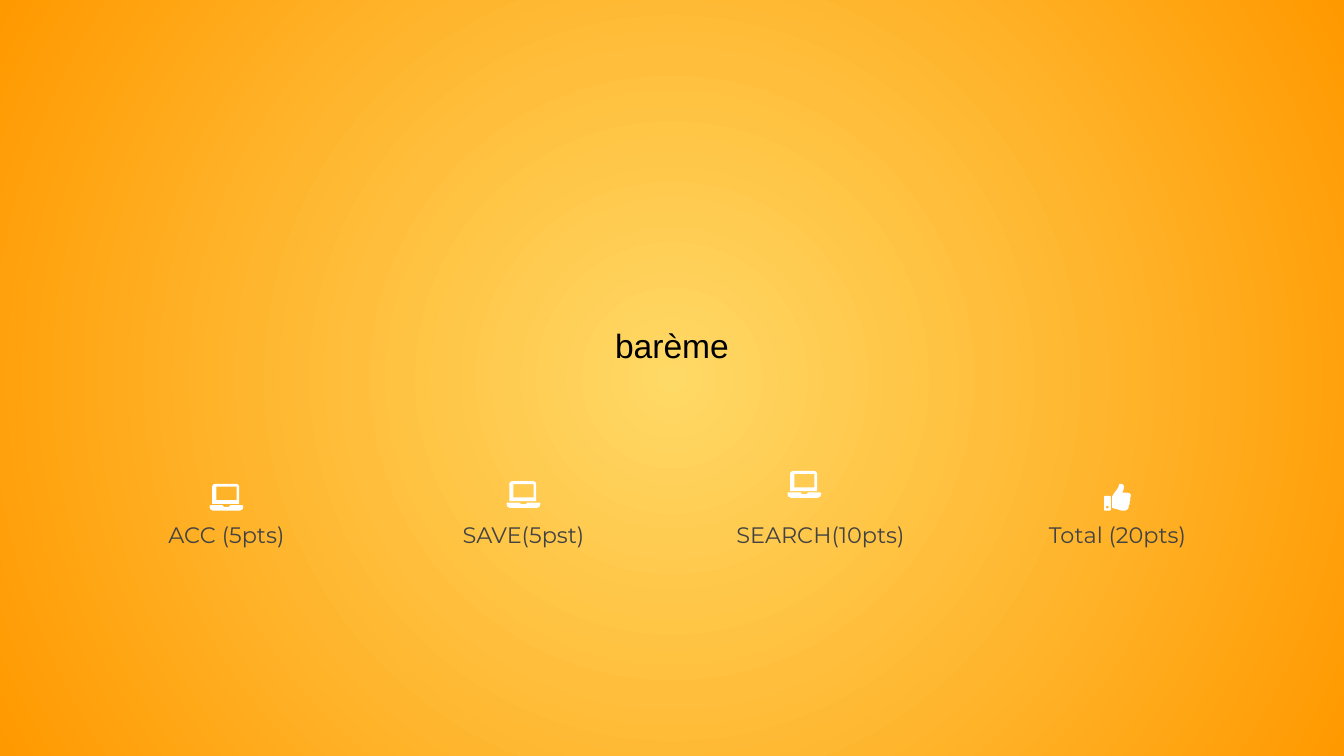
from lxml.etree import SubElement
from pptx import Presentation
from pptx.dml.color import RGBColor
from pptx.enum.text import PP_ALIGN
from pptx.oxml.ns import qn
from pptx.util import Pt

YELLOW = RGBColor(0xFF, 0xD9, 0x66)
ORANGE = RGBColor(0xFF, 0x99, 0x00)
BLACK = RGBColor(0, 0, 0)
GREY = RGBColor(0x43, 0x43, 0x43)
WHITE = RGBColor(0xFF, 0xFF, 0xFF)

ICON_UNIT = Pt(0.1)
LAPTOP = [
    [(29, 0), (18, 5), (14, 14), (14, 108), (158, 108), (158, 14), (154, 5), (144, 0)],
    [(144, 16), (144, 88), (36, 88), (36, 16)],
    [(4, 115), (0, 119), (0, 126), (4, 137), (18, 144), (162, 144), (176, 137),
     (180, 126), (180, 119), (176, 115), (110, 115), (106, 121), (101, 124),
     (79, 124), (74, 121), (70, 115)],
]
THUMB = [
    [(4, 65), (0, 69), (0, 140), (4, 144), (32, 144), (36, 140), (36, 69), (32, 65)],
    [(15, 118), (21, 118), (25, 122), (25, 128), (21, 132), (15, 132), (11, 128), (11, 122)],
    [(86, 0), (80, 4), (77, 18), (71, 28), (58, 45), (47, 62), (44, 68), (44, 128),
     (50, 132), (62, 134), (80, 140), (94, 144), (112, 144), (124, 139), (131, 130),
     (132, 118), (138, 108), (137, 98), (141, 86), (140, 75), (144, 66), (142, 56),
     (136, 50), (126, 48), (97, 48), (103, 36), (107, 22), (106, 10), (100, 2), (92, 0)],
]

LABEL_LEFT, LABEL_STEP, LABEL_WIDTH = 54.72, 159.12, 133.2
CRITERIA = [
    ("ACC (5pts)", LAPTOP, 18, 0, 259.2),
    ("SAVE(5pst)", LAPTOP, 18, 0, 257.76),
    ("SEARCH(10pts)", LAPTOP, 18, -8.64, 252.3),
    ("Total (20pts)", THUMB, 14.4, 0, 259.2),
]


class SlideBuilder:
    def __init__(self, page):
        self.page = page

    def background(self, centre, edge):
        fill = self.page.background.fill
        fill.gradient()
        for stop, color in zip(fill.gradient_stops, (centre, edge)):
            stop.color.rgb = color
        gradient = self.page.element.find(".//" + qn("a:gradFill"))
        gradient.remove(gradient.find(qn("a:lin")))
        circle = SubElement(gradient, qn("a:path"), path="circle")
        SubElement(circle, qn("a:fillToRect"), l="50000", t="50000", r="50000", b="50000")

    def text(self, words, left, top, width, height, font, size, color):
        box = self.page.shapes.add_textbox(Pt(left), Pt(top), Pt(width), Pt(height))
        frame = box.text_frame
        frame.word_wrap = True
        frame.margin_left = frame.margin_top = frame.margin_right = frame.margin_bottom = 0
        frame.text = words
        para = frame.paragraphs[0]
        para.alignment = PP_ALIGN.CENTER
        span = para.runs[0]
        span.font.name = font
        span.font.size = Pt(size)
        span.font.color.rgb = color

    def icon(self, outlines, left, top):
        builder = self.page.shapes.build_freeform(*outlines[0][0], scale=ICON_UNIT)
        for index, outline in enumerate(outlines):
            if index:
                builder.move_to(*outline[0])
            builder.add_line_segments(outline[1:], close=True)
        shape = builder.convert_to_shape(Pt(left), Pt(top))
        shape.shadow.inherit = False
        shape.fill.solid()
        shape.fill.fore_color.rgb = WHITE
        shape.line.fill.background()


def main():
    deck = Presentation()
    deck.slide_width, deck.slide_height = Pt(720), Pt(405)
    slide = SlideBuilder(deck.slides.add_slide(deck.slide_layouts[6]))
    slide.background(YELLOW, ORANGE)
    slide.text("barème", 87.12, 174.24, 545.76, 20.88, "Arial", 18, BLACK)
    for column, (words, outlines, icon_width, shift, icon_top) in enumerate(CRITERIA):
        left = LABEL_LEFT + column * LABEL_STEP
        slide.text(words, left, 279.36, LABEL_WIDTH, 50.4, "Montserrat", 12, GREY)
        slide.icon(outlines, left + (LABEL_WIDTH - icon_width) / 2 + shift, icon_top)
    deck.save("out.pptx")


if __name__ == "__main__":
    main()
